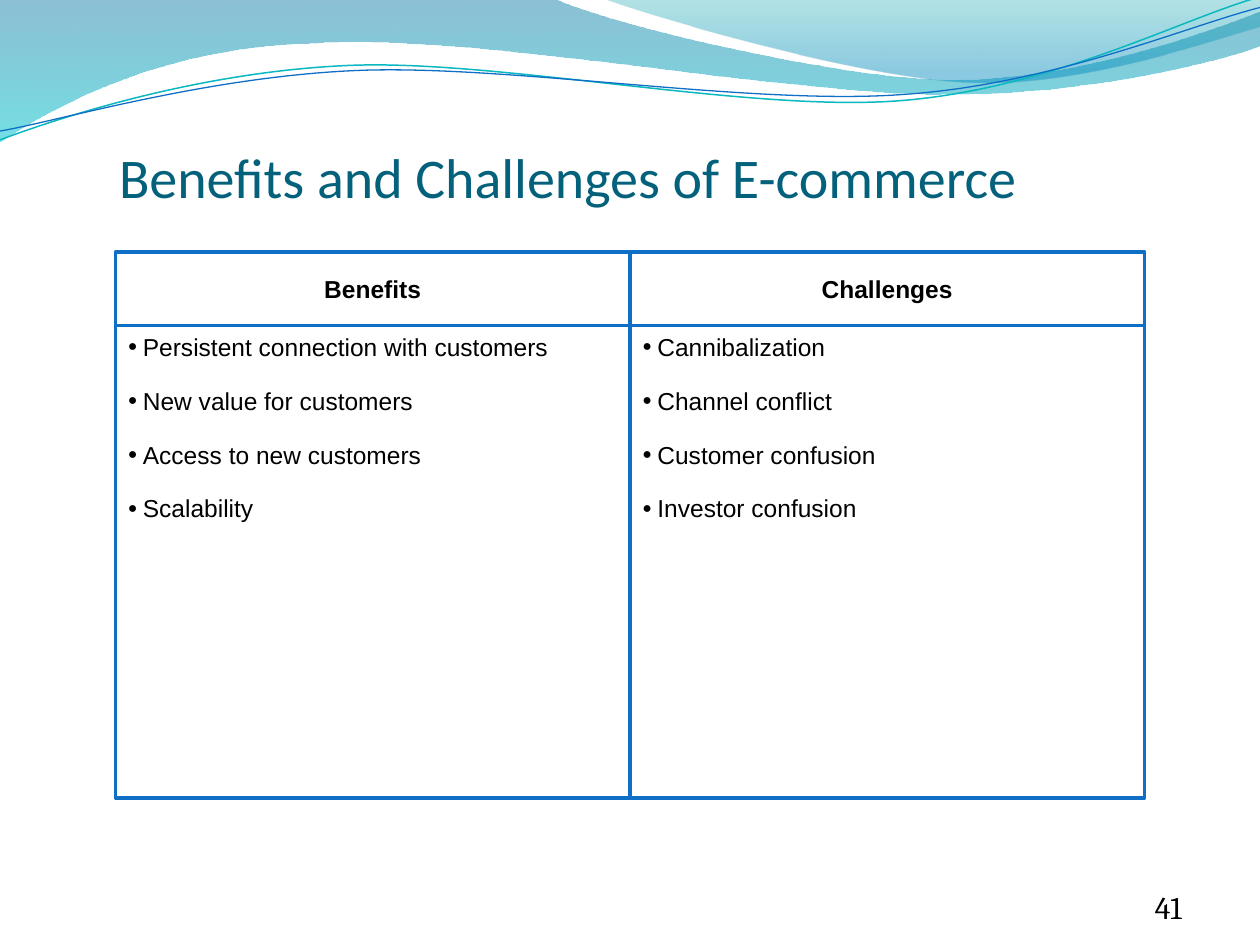
from math import cos, radians, sin
from lxml.etree import SubElement
from pptx import Presentation
from pptx.dml.color import RGBColor
from pptx.enum.shapes import MSO_SHAPE
from pptx.enum.text import MSO_ANCHOR as ANCHOR, PP_ALIGN as ALIGN
from pptx.oxml.ns import qn
from pptx.util import Pt

COLORS = {
    "title": "04617B", "text": "000000", "panel": "FFFFFF", "border": "0F6FC6",
    "teal": "0AB8BF", "wave_top": "0074A1", "wave_bottom": "00C6CF",
    "crest_top": "00A1A9", "crest_bottom": "008BBF",
}
TITLE = "Benefits and Challenges of E-commerce"
PAGE = "41"
COLUMNS = [
    ("Benefits", ["Persistent connection with customers", "New value for customers",
                  "Access to new customers", "Scalability"]),
    ("Challenges", ["Cannibalization", "Channel conflict",
                    "Customer confusion", "Investor confusion"]),
]
WAVES = [
    ([("wave_top", 0, 45), ("wave_bottom", 1, 55)], [
        [(0, 0)], [(316.8, -0.7)],
        [(342.7, 12.2), (478.1, 45.4), (545.8, 45.4)],
        [(614.2, 45.4), (689.8, 18.7), (720, 6.5)],
        [(720.7, 25.9)],
        [(707.8, 31.7), (626.4, 54.7), (537.1, 54)],
        [(447.8, 54), (275, 20.2), (185, 24.5)],
        [(92.9, 25.9), (33.1, 59.8), (-0.7, 81.4)]]),
    ([("crest_top", 0, 30), ("crest_bottom", 0.8, 45)], [
        [(344.9, -0.7)],
        [(366.5, 7.9), (491, 44.6), (553.7, 46.8)],
        [(616.3, 49.7), (691.9, 23), (720, 15.1)],
        [(720, 0)]]),
]
STRANDS = [
    ("teal", 0.85, (359.3, 41.4), [
        [(0, 79.9)],
        [(34.6, 67), (113.8, 41), (199.4, 37.4)],
        [(284.4, 33.8), (427, 64.1), (513.4, 57.6)],
        [(599.8, 51.1), (675.4, 10.8), (718.6, -1.4)]]),
    ("border", 0.75, (359.6, 42.5), [
        [(0, 74.9)],
        [(33.8, 69.1), (118.1, 43.9), (203.8, 40.3)],
        [(290.2, 36.7), (429.8, 60.5), (516.2, 54)],
        [(601.9, 48.2), (677.5, 15.1), (720, 4.3)]]),
]
LEFT, TOP, COL_W, HEAD_H, BODY_H = 66, 144, 294, 42, 270
TILT = 2.7
BULLET_INDENT = 8.6


def rgb(name):
    return RGBColor.from_string(COLORS[name])


def set_all(obj, values):
    for name, value in values.items():
        setattr(obj, name, value)


def level_out(point, center):
    dx, dy = point[0] - center[0], point[1] - center[1]
    c, s = cos(radians(TILT)), sin(radians(TILT))
    return center[0] + dx * c - dy * s, center[1] + dx * s + dy * c


def add_curve(shapes, segments, close):
    start, *rest = [(Pt(x), Pt(y)) for seg in segments for x, y in seg]
    builder = shapes.build_freeform(*start, scale=1.0)
    builder.add_line_segments(rest, close=close)
    sp = builder.convert_to_shape()
    lines = iter(list(sp._element.iter(qn("a:lnTo"))))
    for seg in segments[1:]:
        parts = [next(lines) for _ in seg]
        if len(parts) == 3:
            curve = parts[0].makeelement(qn("a:cubicBezTo"))
            parts[0].addprevious(curve)
            for line in parts:
                curve.append(line[0])
                line.getparent().remove(line)
    sp.shadow.inherit = False
    return sp


def add_wave(shapes, stops, segments):
    sp = add_curve(shapes, segments, True)
    sp.line.fill.background()
    sp.fill.gradient()
    sp.fill.gradient_angle = 270
    for stop, (color, position, _) in zip(sp.fill.gradient_stops, stops):
        stop.color.rgb = rgb(color)
        stop.position = position
    for clr, (_, _, alpha) in zip(sp._element.iter(qn("a:srgbClr")), stops):
        SubElement(clr, qn("a:alpha"), val=str(alpha * 1000))


def add_strand(shapes, color, width, center, segments):
    level = [[level_out(point, center) for point in seg] for seg in segments]
    sp = add_curve(shapes, level, False)
    sp.rotation = 360 - TILT
    sp.fill.background()
    sp.line.color.rgb = rgb(color)
    sp.line.width = Pt(width)


def write(p, text, font, size, color="text", bold=False):
    r = p.add_run()
    r.text = text
    set_all(r.font, {"name": font, "size": Pt(size), "bold": bold})
    r.font.color.rgb = rgb(color)


def set_frame(tf, anchor, left, top=0, right=0, bottom=0, wrap=True):
    set_all(tf, {"vertical_anchor": anchor, "word_wrap": wrap,
                 "margin_left": Pt(left), "margin_top": Pt(top),
                 "margin_right": Pt(right), "margin_bottom": Pt(bottom)})


def set_indent(p, left, first):
    pPr = p._p.get_or_add_pPr()
    pPr.set("marL", str(Pt(left)))
    pPr.set("indent", str(Pt(first)))
    return pPr


def add_panel(shapes, x, y, height):
    sp = shapes.add_shape(MSO_SHAPE.RECTANGLE, Pt(x), Pt(y), Pt(COL_W), Pt(height))
    sp.shadow.inherit = False
    sp.fill.solid()
    sp.fill.fore_color.rgb = rgb("panel")
    sp.line.color.rgb = rgb("border")
    sp.line.width = Pt(2)
    return sp.text_frame


def add_bullet(p):
    pPr = set_indent(p, BULLET_INDENT, -BULLET_INDENT)
    SubElement(pPr, qn("a:buSzPct"), val="65000")
    SubElement(pPr, qn("a:buFont"), typeface="Arial")
    SubElement(pPr, qn("a:buChar"), char="●")


def add_column(shapes, x, heading, items):
    tf = add_panel(shapes, x, TOP, HEAD_H)
    set_frame(tf, ANCHOR.MIDDLE, 7.2, 3.6, 7.2, 3.6, wrap=False)
    tf.paragraphs[0].alignment = ALIGN.CENTER
    write(tf.paragraphs[0], heading, "Arial", 14, bold=True)
    tf = add_panel(shapes, x, TOP + HEAD_H, BODY_H)
    set_frame(tf, ANCHOR.TOP, 7.2, 3.6, 7.2, 3.6)
    for i, item in enumerate(items):
        p = tf.add_paragraph() if i else tf.paragraphs[0]
        add_bullet(p)
        set_all(p, {"alignment": ALIGN.LEFT, "space_before": Pt(14 if i else 0)})
        write(p, item, "Arial", 14)


def main():
    prs = Presentation()
    set_all(prs, {"slide_width": Pt(720), "slide_height": Pt(540)})
    s = prs.slides.add_slide(prs.slide_layouts[5])
    shapes = s.shapes
    for wave in WAVES:
        add_wave(shapes, *wave)
    strands = shapes.add_group_shape().shapes
    for strand in STRANDS:
        add_strand(strands, *strand)

    title = shapes.title
    set_all(title, {"left": Pt(54), "top": Pt(30), "width": Pt(636.5), "height": Pt(90)})
    set_frame(title.text_frame, ANCHOR.BOTTOM, 14, 3.6)
    p = title.text_frame.paragraphs[0]
    p.alignment = ALIGN.LEFT
    write(p, TITLE, "Calibri", 32, "title")
    shapes._spTree.append(title._element)

    page = shapes.add_textbox(Pt(624), Pt(500.4), Pt(60), Pt(28.8))
    set_frame(page.text_frame, ANCHOR.BOTTOM, 0)
    p = page.text_frame.paragraphs[0]
    p.level = 1
    set_indent(p, 36, 0)
    write(p, PAGE, "Cambria", 18)

    for i, (heading, items) in enumerate(COLUMNS):
        add_column(shapes, LEFT + i * COL_W, heading, items)
    prs.save("out.pptx")


if __name__ == "__main__":
    main()
